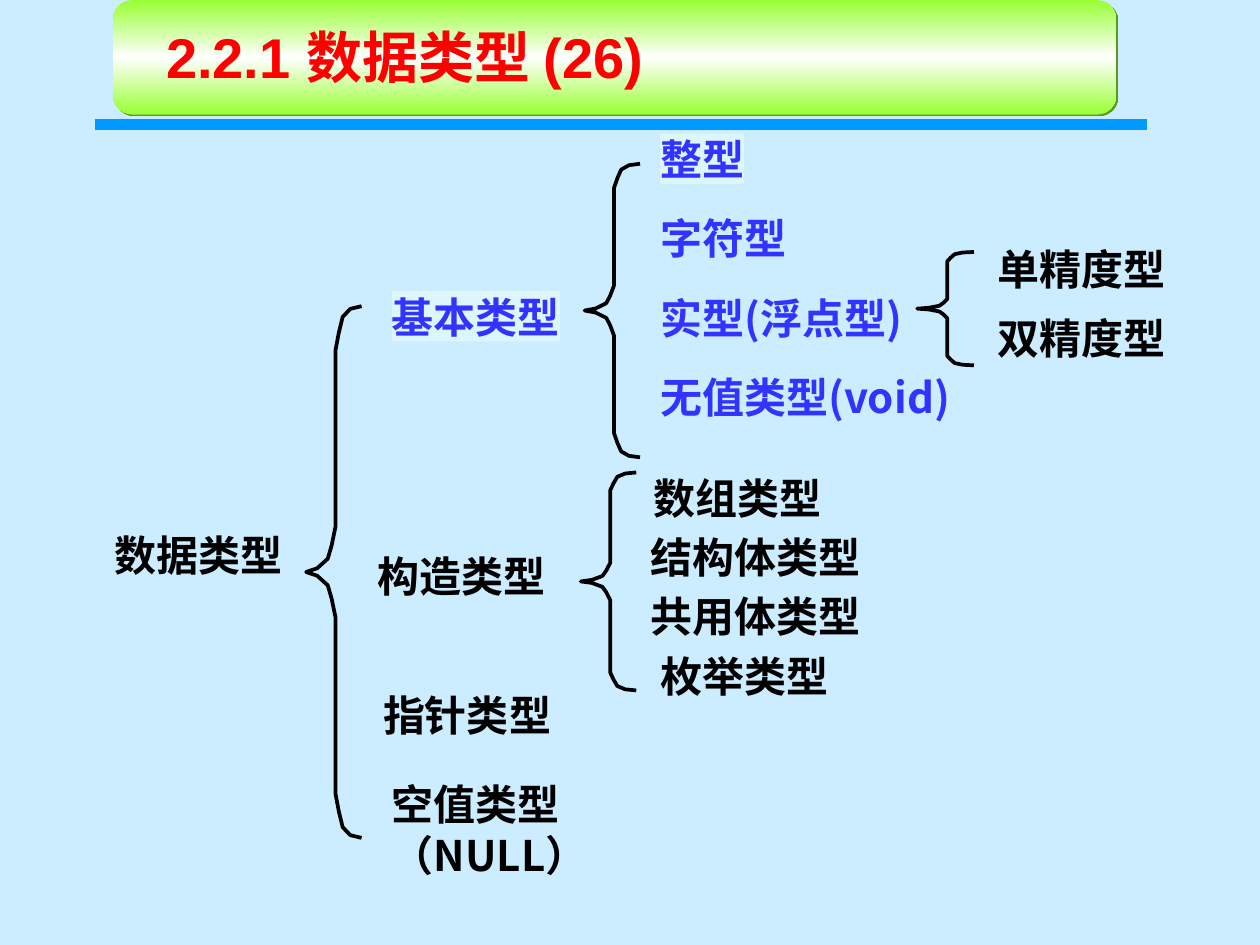
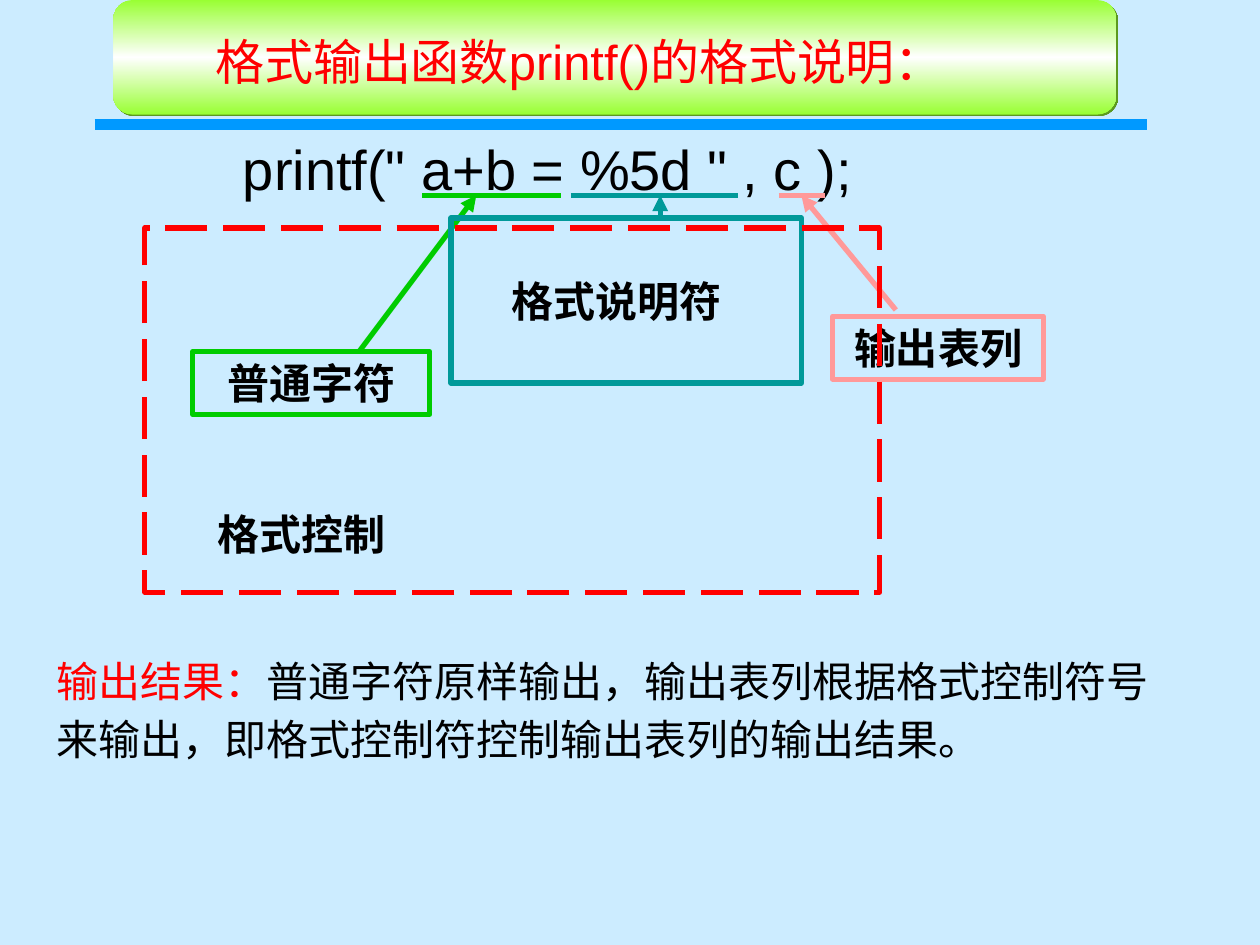
from copy import deepcopy
from dataclasses import dataclass

from lxml.etree import SubElement
from pptx import Presentation
from pptx.dml.color import RGBColor
from pptx.enum.dml import MSO_LINE
from pptx.enum.shapes import MSO_CONNECTOR, MSO_SHAPE
from pptx.enum.text import MSO_ANCHOR, MSO_AUTO_SIZE, PP_ALIGN
from pptx.oxml.ns import qn
from pptx.util import Pt

PX = 9144


@dataclass(frozen=True)
class Theme:
    back: str = "CCECFF"
    rule: str = "0099FF"
    lime: str = "99FF33"
    moss: str = "5C991F"
    white: str = "FFFFFF"
    black: str = "000000"
    red: str = "FF0000"
    blue: str = "3333FF"
    glow: str = "DCF6FC"
    green: str = "00CC00"
    teal: str = "009999"
    pink: str = "FF9999"
    sans: str = "Arial"
    serif: str = "Times New Roman"
    asian: str = "Noto Sans CJK SC"
    large: int = 32
    title: int = 28
    body: int = 24
    thin: float = 2.13
    thick: int = 3
    heavy: int = 6


T = Theme()
BRACE = [(100, 0), (80, 0.5), (66, 2), (59, 5), (53, 8.3), (53, 41.5),
         (46, 45), (39, 47.5), (20, 49.3), (0, 50)]


def rgb(code):
    return RGBColor.from_string(code)


def emu(*nums):
    return [round(num * PX) for num in nums]


def add_run(para, text, size, color=T.black, face=T.sans, bold=False):
    run = para.add_run()
    run.text = text
    font = run.font
    font.size, font.bold, font.name = Pt(size), bold, face
    font.color.rgb = rgb(color)
    SubElement(run._r.get_or_add_rPr(), qn("a:ea")).set("typeface", T.asian)


def write(shape, runs, align=PP_ALIGN.LEFT, anchor=MSO_ANCHOR.TOP,
          pads=(10, 5), wrap=True, grow=False, space=None):
    frame = shape.text_frame
    frame.word_wrap = wrap
    frame.auto_size = MSO_AUTO_SIZE.SHAPE_TO_FIT_TEXT if grow else MSO_AUTO_SIZE.NONE
    frame.vertical_anchor = anchor
    frame.margin_left = frame.margin_right = pads[0] * PX
    frame.margin_top = frame.margin_bottom = pads[1] * PX
    para = frame.paragraphs[0]
    para.alignment = align
    if space:
        para.line_spacing = space
    for run in runs:
        add_run(para, **run)


def add_text(slide, box, *runs, **style):
    shape = slide.shapes.add_textbox(*emu(*box))
    write(shape, runs, **style)
    return shape


def add_line(slide, start, end, color, width=T.thick, arrow=False):
    line = slide.shapes.add_connector(MSO_CONNECTOR.STRAIGHT, *emu(*start, *end))
    line.line.color.rgb = rgb(color)
    line.line.width = Pt(width)
    if arrow:
        SubElement(line.line._get_or_add_ln(), qn("a:headEnd")).set("type", "triangle")
    SubElement(line._element.spPr, qn("a:effectLst"))


def add_frame(slide, box, color, dash=None):
    shape = slide.shapes.add_shape(MSO_SHAPE.RECTANGLE, *emu(*box))
    shape.shadow.inherit = False
    shape.fill.background()
    shape.line.color.rgb = rgb(color)
    shape.line.width = Pt(T.thick)
    if dash:
        shape.line.dash_style = dash
    return shape


def add_brace(slide, box):
    left, top, width, height = box
    turn = [(x, 100 - y) for x, y in reversed(BRACE[:-1])]
    points = [emu(left + x * width / 100, top + y * height / 100)
              for x, y in BRACE + turn]
    form = slide.shapes.build_freeform(*points[0], scale=1.0)
    form.add_line_segments(points[1:], close=False)
    shape = form.convert_to_shape()
    shape.shadow.inherit = False
    shape.fill.background()
    shape.line.color.rgb = rgb(T.black)
    shape.line.width = Pt(T.thin)


def add_label(slide, left, top, text, color=T.black, width=None, fill=None):
    box = (left, top, width or len(text) * 100 / 3, 40)
    run = dict(text=text, size=T.body, color=color, face=T.asian, bold=True)
    shape = add_text(slide, box, run, pads=(0, 0), wrap=bool(width), grow=True)
    if fill:
        shape.fill.solid()
        shape.fill.fore_color.rgb = rgb(fill)


def add_head(slide, box):
    left, top, width, height = box
    add_line(slide, (left - 15, top + height + 8),
             (left + width + 24, top + height + 8), T.rule, T.heavy)
    band = slide.shapes.add_shape(MSO_SHAPE.ROUNDED_RECTANGLE, *emu(*box))
    band.adjustments[0] = 0.17
    band.line.fill.background()
    band.fill.gradient()
    band.fill.gradient_angle = 90
    stops = band._element.spPr.find(qn("a:gradFill")).find(qn("a:gsLst"))
    stops.insert(1, deepcopy(stops[0]))
    for stop, place, color in zip(band.fill.gradient_stops, (0, 0.5, 1),
                                  (T.lime, T.white, T.lime)):
        stop.position = place
        stop.color.rgb = rgb(color)
    band.shadow.inherit = False
    effects = band._element.spPr.find(qn("a:effectLst"))
    shadow = SubElement(effects, qn("a:outerShdw"), blurRad="0", dist="17780",
                        dir="2700000", algn="ctr", rotWithShape="0")
    SubElement(shadow, qn("a:srgbClr")).set("val", T.moss)


def new_slide(deck):
    slide = deck.slides.add_slide(deck.slide_layouts[6])
    slide.background.fill.solid()
    slide.background.fill.fore_color.rgb = rgb(T.back)
    add_head(slide, (90, 0, 796, 91))
    return slide


def basic_types(slide, box):
    left, top, width, height = box
    add_label(slide, left, top + 125, "基本类型", T.blue, fill=T.glow)
    add_brace(slide, (left + 153, top + 24, 44, 233))
    kinds = [("整型", None, T.glow), ("字符型", None, None),
             ("实型(浮点型)", 219, None), ("无值类型(void)", 244, None)]
    for row, (text, wide, fill) in enumerate(kinds):
        add_label(slide, left + 213, top + row * 63, text, T.blue, wide, fill)
    add_brace(slide, (left + 417, top + 94, 45, 90))
    for row, text in enumerate(("单精度型", "双精度型")):
        add_label(slide, left + width - 133, top + 87 + row * 55, text)


def built_types(slide, box):
    left, top, width, height = box
    add_label(slide, left, top + 62, "构造类型")
    add_brace(slide, (left + 161, top, 44, height))
    kinds = [(219, "数组类型"), (216, "结构体类型"),
             (216, "共用体类型"), (224, "枚举类型")]
    for row, (shift, text) in enumerate(kinds):
        add_label(slide, left + shift, top + row * 47, text)


def type_tree(slide, box):
    left, top, width, height = box
    add_label(slide, left, top + 314, "数据类型")
    add_brace(slide, (left + 152, top + 137, 44, 422))
    basic_types(slide, (left + 220, top, width - 220, 257))
    built_types(slide, (left + 209, top + 269, 383, 173))
    add_label(slide, left + 213, top + 441, "指针类型")
    add_label(slide, left + 220, top + 512, "空值类型（NULL）", width=268)


def add_note(slide, box, text, color=None):
    shape = (add_frame(slide, box, color) if color
             else slide.shapes.add_textbox(*emu(*box)))
    run = dict(text=text, size=T.body, face=T.serif, bold=True)
    write(shape, [run], align=PP_ALIGN.CENTER if color else PP_ALIGN.LEFT, grow=True)


def call_parts(slide, box):
    left, top, width, height = box
    code = dict(text='printf(" a+b = %5d " , c );', size=T.large)
    add_text(slide, (left + 68, top, 600, 64), code)
    base = top + 53
    for start, end, color in ((220, 330, T.green), (338, 471, T.teal),
                              (503, 540, T.pink)):
        add_line(slide, (left + start, base), (left + end, base), color)
    add_note(slide, (left + 546, base + 96, 167, 50), "输出表列", T.pink)
    add_line(slide, (left + 521, base), (left + 596, base + 91), T.pink, arrow=True)
    add_note(slide, (left + 38, base + 124, 188, 50), "普通字符", T.green)
    add_line(slide, (left + 263, base), (left + 170, base + 124), T.green, arrow=True)
    add_note(slide, (left + 281, base + 59, 198, 50), "格式说明符")
    add_frame(slide, (left + 243, base + 18, 278, 131), T.teal)
    add_line(slide, (left + 409, base), (left + 409, base + 18), T.teal, arrow=True)
    add_frame(slide, (left, base + 26, 583, 289), T.red, MSO_LINE.LONG_DASH)
    add_note(slide, (left + 48, base + 244, 158, 50), "格式控制")


def result(slide, box):
    add_text(slide, box,
             dict(text="输出结果：", size=T.body, color=T.red),
             dict(text="普通字符原样输出，输出表列根据格式控制符号来输出，"
                       "即格式控制符控制输出表列的输出结果。", size=T.body),
             anchor=MSO_ANCHOR.MIDDLE, space=1.15)


def main():
    deck = Presentation()
    deck.slide_width, deck.slide_height = emu(1000, 750)

    types = new_slide(deck)
    add_text(types, (122, 13, 758, 64),
             dict(text="2.2.1 数据类型 (26)", size=T.large, color=T.red, bold=True))
    type_tree(types, (91, 106, 834, 600))

    call = new_slide(deck)
    add_text(call, (35, 13, 850, 71),
             dict(text="格式输出函数printf()的格式说明：", size=T.title, color=T.red),
             align=PP_ALIGN.CENTER, anchor=MSO_ANCHOR.MIDDLE)
    call_parts(call, (115, 102, 713, 368))
    result(call, (35, 493, 890, 134))

    deck.save("out.pptx")


if __name__ == "__main__":
    main()
